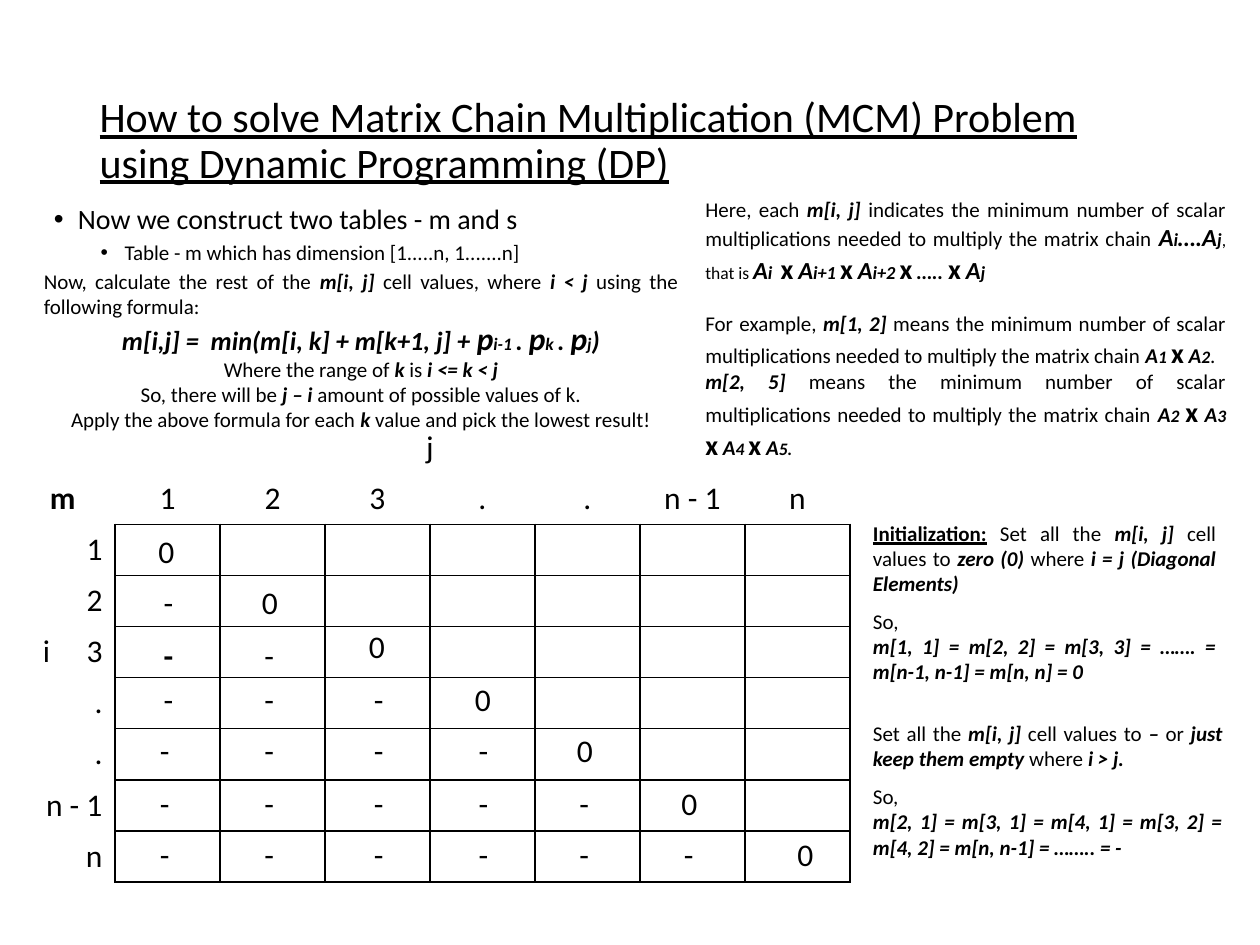
from dataclasses import dataclass, field

from lxml.etree import SubElement
from pptx import Presentation
from pptx.dml.color import RGBColor
from pptx.enum.text import MSO_ANCHOR, MSO_AUTO_SIZE, PP_ALIGN
from pptx.oxml.ns import qn
from pptx.util import Inches, Pt

FONT = "Calibri"
COLORS = {"text": "000000", "border": "000000"}
NO_STYLE = "{2D5ABB26-0587-4C30-8999-92F81FD0307C}"


@dataclass
class Run:
    text: str
    size: float = 12
    bold: bool = False
    italic: bool = False
    underline: bool = False


@dataclass
class Line:
    runs: list[Run]
    align: PP_ALIGN = PP_ALIGN.JUSTIFY
    spacing: float = 1.0
    before: float = 0
    bullet_indent: float = 0


@dataclass
class Block:
    left: float
    top: float
    width: float
    height: float
    lines: list[Line] = field(default_factory=list)
    wrap: bool = True


def strong(text: str, size: float = 12) -> Run:
    return Run(text, size, bold=True, italic=True)


def times() -> Run:
    return Run("x", 16, bold=True)


def mixed(text: str) -> list[Run]:
    """Text between asterisks becomes bold italic."""
    return [strong(part) if index % 2 else Run(part)
            for index, part in enumerate(text.split("*")) if part]


def centered(runs: list[Run]) -> Line:
    return Line(runs, PP_ALIGN.CENTER)


def set_font(font, size: float) -> None:
    font.name, font.size = FONT, Pt(size)
    font.color.rgb = RGBColor.from_string(COLORS["text"])


def add_bullet(paragraph, indent: float) -> None:
    properties = paragraph._p.get_or_add_pPr()
    properties.set("marL", str(Inches(indent)))
    properties.set("indent", str(-Inches(0.19)))
    SubElement(properties, qn("a:buFont"), typeface="Arial")
    SubElement(properties, qn("a:buChar"), char="•")


def add_block(slide, block: Block) -> None:
    shape = slide.shapes.add_textbox(Inches(block.left), Inches(block.top),
                                     Inches(block.width), Inches(block.height))
    frame = shape.text_frame
    frame.word_wrap = block.wrap
    frame.auto_size = MSO_AUTO_SIZE.SHAPE_TO_FIT_TEXT
    for index, line in enumerate(block.lines):
        paragraph = frame.add_paragraph() if index else frame.paragraphs[0]
        paragraph.alignment = line.align
        paragraph.line_spacing = line.spacing
        paragraph.space_before = Pt(line.before)
        if line.bullet_indent:
            add_bullet(paragraph, line.bullet_indent)
        for item in line.runs:
            run = paragraph.add_run()
            run.text = item.text
            set_font(run.font, item.size)
            run.font.bold, run.font.italic = item.bold, item.italic
            run.font.underline = item.underline


def format_cell(cell, text: str, align: PP_ALIGN, sides: str) -> None:
    cell.text = text
    paragraph = cell.text_frame.paragraphs[0]
    paragraph.alignment = align
    set_font(paragraph.font, 18)
    properties = cell._tc.get_or_add_tcPr()
    for side in sides:
        border = SubElement(properties, qn(f"a:ln{side}"), w=str(Pt(1)))
        fill = SubElement(border, qn("a:solidFill"))
        SubElement(fill, qn("a:srgbClr"), val=COLORS["border"])
    cell.fill.background()


def add_matrix(slide, labels: list[str]) -> None:
    count = len(labels)
    shape = slide.shapes.add_table(count + 2, count + 2, Inches(0.08), Inches(3.35),
                                   Inches(6.67), Inches(3.65))
    table = shape.table
    table.first_row = table.horz_banding = False
    table._tbl.tblPr.find(qn("a:tableStyleId")).text = NO_STYLE
    for index, column in enumerate(table.columns):
        column.width = Inches(5 / 12 if index < 2 else 5 / 6)
    for row in table.rows:
        row.height = Inches(3.65 / 9)

    # Index names and column headers
    table.cell(0, 0).merge(table.cell(0, count + 1))
    format_cell(table.cell(0, 0), "j", PP_ALIGN.CENTER, "")
    table.cell(1, 0).merge(table.cell(1, 1))
    format_cell(table.cell(1, 0), "m", PP_ALIGN.CENTER, "")
    table.cell(1, 0).text_frame.paragraphs[0].font.bold = True
    for column, label in enumerate(labels, 2):
        header = table.cell(1, column)
        format_cell(header, label, PP_ALIGN.CENTER, "B")
        header.vertical_anchor = MSO_ANCHOR.BOTTOM

    # Row headers and empty grid
    for row, label in enumerate(labels, 2):
        if label == "3":
            format_cell(table.cell(row, 0), "i", PP_ALIGN.RIGHT, "")
            format_cell(table.cell(row, 1), label, PP_ALIGN.RIGHT, "R")
        else:
            table.cell(row, 0).merge(table.cell(row, 1))
            format_cell(table.cell(row, 0), label, PP_ALIGN.RIGHT, "R")
        for column in range(2, count + 2):
            format_cell(table.cell(row, column), "", PP_ALIGN.LEFT, "LRTB")


def add_marks(slide) -> None:
    """Zeros on the diagonal, dashes below it."""
    zero_lefts = [1.16, 1.98, 2.83, 3.67, 4.48, 5.31, 6.23]
    zero_tops = [4.17, 4.58, 4.93, 5.35, 5.75, 6.17, 6.58]
    dash_lefts = [1.17, 2, 2.87, 3.7, 4.5, 5.33]
    dash_tops = [4.17, 4.58, 5, 5.35, 5.75, 6.17, 6.58]
    for row, top in enumerate(dash_tops):
        for column, left in enumerate(dash_lefts[:row]):
            nudge = 0.03 if column == 0 and row < 4 else 0
            dash = Run("-", 18, bold=(row, column) == (2, 0))
            add_block(slide, Block(left + nudge, top, 0.3, 0.4,
                                   [Line([dash], PP_ALIGN.LEFT)], wrap=False))
        add_block(slide, Block(zero_lefts[row], zero_tops[row], 0.36, 0.4,
                               [Line([Run("0", 18)], PP_ALIGN.LEFT)], wrap=False))


def chain(first: str, *others: str) -> list[Run]:
    """Matrices A with small indices, joined by multiplication signs."""
    runs = [strong("A"), strong(first + " ", 10)]
    for position, index in enumerate(others, 1):
        gap = " " if position < len(others) else ""
        runs += [times(), strong(" A"), strong(index + gap, 10)]
    return runs


TABLES = Block(0.33, 1.58, 4.75, 0.67, [
    Line([Run("Now we construct two tables - m and s", 16)],
         spacing=0.9, before=7.5, bullet_indent=0.19),
    Line([Run("Table - m which has dimension [1.....n, 1.......n]")],
         spacing=0.9, before=3.8, bullet_indent=0.56)])

FORMULA = Block(0.25, 2.08, 5.23, 1.41, [
    Line(mixed("Now, calculate the rest of the *m[i, j]* cell values, where *i < j* "
               "using the following formula:")),
    centered([strong("m[i,j] =  min(m[i, k] + m[k+1, j] + ", 15),
              strong("p", 18), strong("i-1 ", 10), strong(". ", 15),
              strong("p", 18), strong("k ", 10), strong(". ", 15),
              strong("p", 18), strong("j", 10), strong(")", 15)]),
    centered(mixed("Where the range of *k* is *i <= k < j*")),
    centered(mixed("So, there will be *j – i* amount of possible values of k.")),
    centered(mixed("Apply the above formula for each *k *value and pick the lowest result!"))])

MEANING = Block(5.5, 1.51, 4.33, 2.32, [
    Line(mixed("Here, each *m[i, j]* indicates the minimum number of scalar "
               "multiplications needed to multiply the matrix chain ")
         + [strong("A", 14), strong("i", 10.5), strong("….A", 14), strong("j", 10.5),
            Run(", that is ", 10), strong("A", 14), strong("i  ", 10.5), times(),
            strong(" "), strong("A", 14), strong("i+1 ", 10.5), times(),
            strong(" "), strong("A", 14), strong("i+2 ", 10.5), times(),
            strong(" ….. "), times(), strong(" "), strong("A", 14), strong("j", 10.5)]),
    Line(mixed("For example, *m[1, 2]* means the minimum number of scalar "
               "multiplications needed to multiply the matrix chain ")
         + chain("1", "2") + [Run(".")], before=14.5),
    Line(mixed("*m[2, 5]* means the minimum number of scalar "
               "multiplications needed to multiply the matrix chain ")
         + chain("2", "3", "4", "5."))])

INITIALIZATION = Block(6.83, 4.08, 2.92, 1.41, [
    Line([Run("Initialization:", bold=True, underline=True)]
         + mixed(" Set all the *m[i, j]* cell values to *zero (0)* where "
                 "*i = j (Diagonal Elements)*")),
    Line([Run("So, ")], spacing=1.5),
    Line(mixed("*m[1, 1] = m[2, 2] = m[3, 3] = ……. = m[n-1, n-1] = m[n, n] = 0*"))])

LOWER_CELLS = Block(6.83, 5.67, 2.97, 1.41, [
    Line(mixed("Set all the *m[i, j]* cell values to *– *or *just keep them empty* "
               "where *i > j.*")),
    Line([Run("So, ")], spacing=1.5),
    Line(mixed("*m[2, 1] = m[3, 1] = m[4, 1] = m[3, 2] = m[4, 2] = m[n, n-1] = …….. = -*"))])


def main() -> None:
    presentation = Presentation()
    presentation.slide_width, presentation.slide_height = Inches(10), Inches(7.5)
    slide = presentation.slides.add_slide(presentation.slide_layouts[5])

    # Title
    title = slide.shapes.title
    title.left, title.top = Inches(0.69), Inches(0.4)
    title.width, title.height = Inches(8.62), Inches(1.45)
    title.text_frame.text = ("How to solve Matrix Chain Multiplication (MCM) Problem "
                             "using Dynamic Programming (DP)")
    title.text_frame.auto_size = MSO_AUTO_SIZE.NONE
    title.text_frame.vertical_anchor = MSO_ANCHOR.MIDDLE
    paragraph = title.text_frame.paragraphs[0]
    paragraph.alignment, paragraph.line_spacing = PP_ALIGN.LEFT, 0.9
    set_font(paragraph.font, 24)
    paragraph.font.underline = True

    # Matrix with its marks, then the explanations
    add_matrix(slide, ["1", "2", "3", ".", ".", "n - 1", "n"])
    add_marks(slide)
    for block in (TABLES, FORMULA, MEANING, INITIALIZATION, LOWER_CELLS):
        add_block(slide, block)

    presentation.save("out.pptx")


if __name__ == "__main__":
    main()
